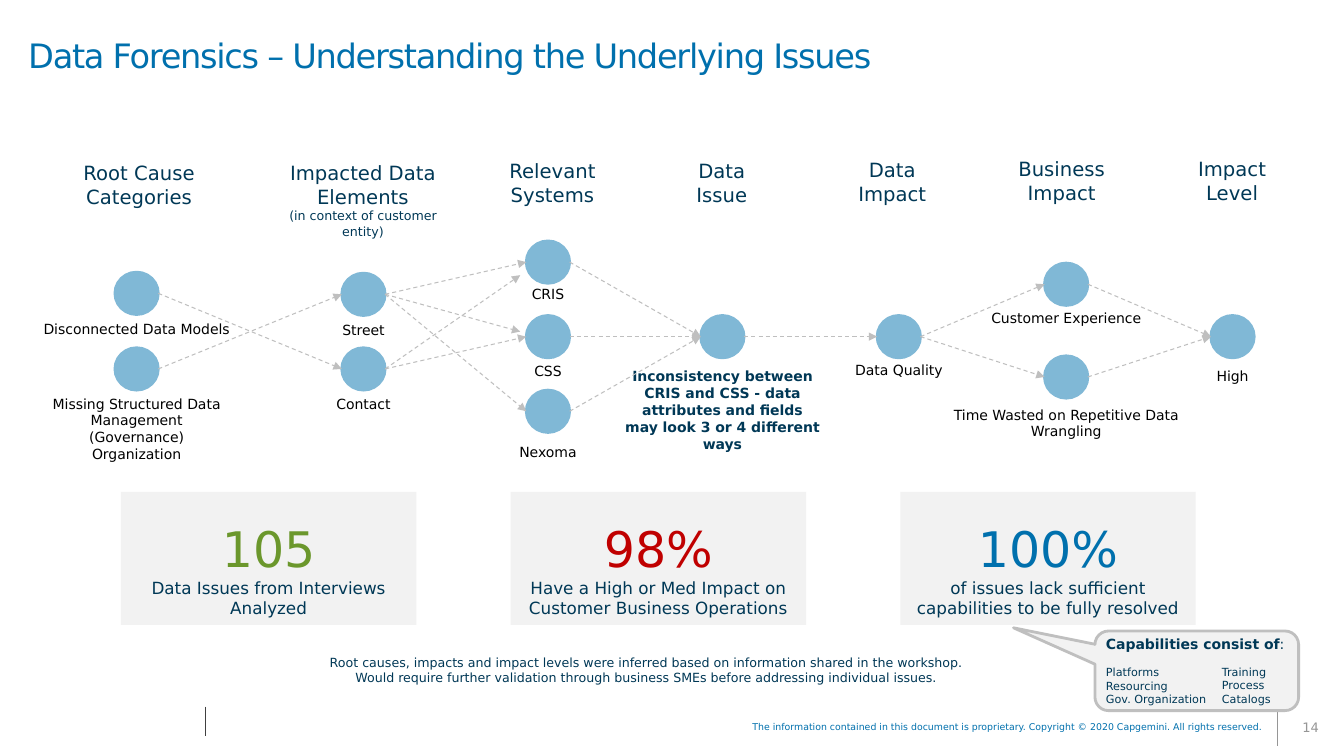
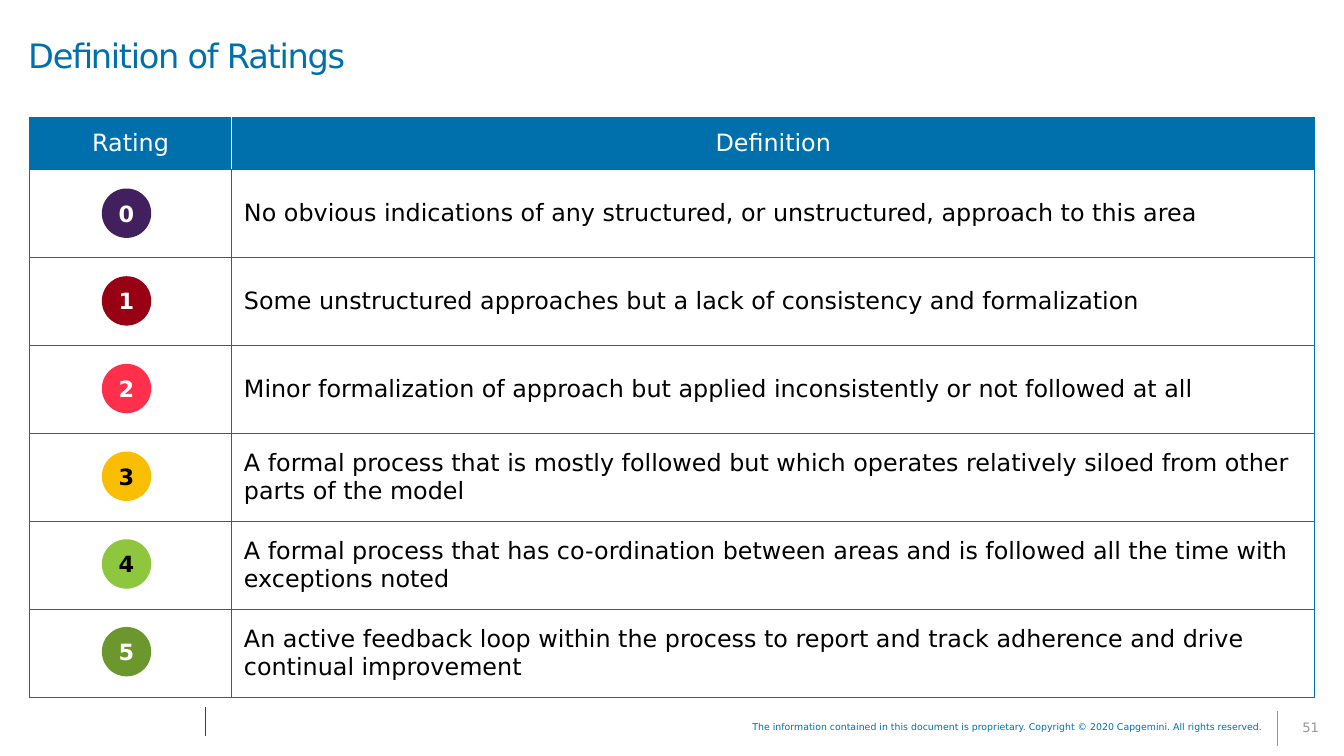
from lxml import etree
from pptx import Presentation
from pptx.dml.color import RGBColor
from pptx.enum.dml import MSO_LINE
from pptx.enum.shapes import MSO_CONNECTOR, MSO_SHAPE
from pptx.enum.text import MSO_ANCHOR, PP_ALIGN
from pptx.oxml.ns import qn
from pptx.util import Pt

PX = 9144  # 100 px to the inch
WIDE, HIGH = 1333, 750
FONT = "DejaVu Sans"
LEFT, MID, RIGHT = PP_ALIGN.LEFT, PP_ALIGN.CENTER, PP_ALIGN.RIGHT
TOP, CORE = MSO_ANCHOR.TOP, MSO_ANCHOR.MIDDLE
RECT, OVAL = MSO_SHAPE.RECTANGLE, MSO_SHAPE.OVAL
BUBBLE = MSO_SHAPE.ROUNDED_RECTANGULAR_CALLOUT
DASH, LINE = MSO_LINE.DASH, MSO_CONNECTOR.STRAIGHT

HUES = {
    "blue": "0070AD", "navy": "003856", "sky": "80B8D6", "pale": "F2F2F2",
    "gray": "969696", "silver": "BFBFBF", "dark": "404040", "red": "C00000",
    "green": "6B972C", "lime": "8EC63E", "amber": "F9BE01", "rose": "FF304C",
    "wine": "980014", "plum": "421F5D", "white": "FFFFFF", "black": "000000",
}

LEGAL = ("The information contained in this document is proprietary. "
         "Copyright © 2020 Capgemini. All rights reserved.")

# Column heads: left, top, width, lines
HEADS = [
    (40, 155, 196, ["Root Cause Categories"]),
    (275, 155, 170, ["Impacted Data Elements",
                     [("(in context of customer entity)", {"size": 9})]]),
    (483, 153, 130, ["Relevant Systems"]),
    (651, 153, 130, ["Data", "Issue"]),
    (820, 152, 130, ["Data Impact"]),
    (988, 151, 130, ["Business Impact"]),
    (1157, 151, 130, ["Impact Level"]),
]

# Nodes: left, top, label, label top, label width
NODE_W, NODE_H = 43, 42
NODES = {
    "models": (114, 270, "Disconnected Data Models", 313, 240),
    "org": (114, 345, "Missing Structured Data Management (Governance) Organization",
            387, 196),
    "street": (339, 271, "Street", 314, 109),
    "contact": (339, 345, "Contact", 387, 109),
    "cris": (522, 239, "CRIS", 278, 100),
    "css": (522, 313, "CSS", 355, 100),
    "asset": (522, 387, "Nexoma", 435, 100),
    "issue": (695, 313, "Inconsistency between CRIS and CSS - data attributes "
              "and fields may look 3 or 4 different ways", 360, 215),
    "data": (870, 313, "Data Quality", 354, 285),
    "client": (1036, 261, "Customer Experience", 302, 285),
    "time": (1036, 353, "Time Wasted on Repetitive Data Wrangling", 398, 285),
    "high": (1201, 313, "High", 360, 100),
}
LINKS = [
    ("models", "contact"), ("org", "street"), ("street", "cris"),
    ("street", "css"), ("contact", "cris"), ("street", "asset"),
    ("contact", "css"), ("cris", "issue"), ("css", "issue"),
    ("asset", "issue"), ("issue", "data"), ("data", "client"),
    ("data", "time"), ("client", "high"), ("time", "high"),
]
# Arrow tips that stop short of the node, so crossing lines stay apart
NUDGE = {("street", "css"): (-6, -5), ("contact", "cris"): (-6, 13)}

STATS = [
    ("105", "green", "Data Issues from Interviews Analyzed"),
    ("98%", "red", "Have a High or Med Impact on Customer Business Operations"),
    ("100%", "blue", "of issues lack sufficient capabilities to be fully resolved"),
]
NOTE = [
    "Root causes, impacts and impact levels were inferred based on "
    "information shared in the workshop.",
    "Would require further validation through business SMEs before "
    "addressing individual issues.",
]
SKILLS = ["Platforms", "Resourcing", "Gov. Organization"]
MORE = ["Training", "Process", "Catalogs"]

# Ratings: fill, number colour, definition
RATES = [
    ("plum", "white", "No obvious indications of any structured, or unstructured, "
     "approach to this area"),
    ("wine", "white", "Some unstructured approaches but a lack of consistency "
     "and formalization"),
    ("rose", "white", "Minor formalization of approach but applied inconsistently "
     "or not followed at all"),
    ("amber", "black", "A formal process that is mostly followed but which operates "
     "relatively siloed from other parts of the model"),
    ("lime", "black", "A formal process that has co-ordination between areas and is "
     "followed all the time with exceptions noted"),
    ("green", "white", "An active feedback loop within the process to report and "
     "track adherence and drive continual improvement"),
]


def px(*vals):
    return [round(v * PX) for v in vals]


def rgb(hue):
    return RGBColor.from_string(HUES[hue])


def write(frame, paras, align=LEFT, anchor=TOP, pad=(10, 5, 10, 5),
          space=None, **base):
    """Fill a frame; each paragraph is a string or a list of (text, format)."""
    sides = ("margin_left", "margin_top", "margin_right", "margin_bottom")
    look = dict(zip(sides, px(*pad)), word_wrap=True, vertical_anchor=anchor)
    for key, val in look.items():
        setattr(frame, key, val)
    for i, runs in enumerate(paras):
        para = frame.paragraphs[0] if i == 0 else frame.add_paragraph()
        para.alignment = align
        if space:
            para.line_spacing = space
        for text, extra in [(runs, {})] if isinstance(runs, str) else runs:
            run = para.add_run()
            run.text = text
            fmt = {"name": FONT, "bold": False, **base, **extra}
            run.font.color.rgb = rgb(fmt.pop("hue"))
            fmt["size"] = Pt(fmt["size"])
            for key, val in fmt.items():
                setattr(run.font, key, val)


def label(slide, box, paras, **fmt):
    frame = slide.shapes.add_textbox(*px(*box)).text_frame
    write(frame, paras, **fmt)
    return frame


def shape(slide, kind, box, fill, edge=None):
    item = slide.shapes.add_shape(kind, *px(*box))
    item.shadow.inherit = False
    item.fill.solid()
    item.fill.fore_color.rgb = rgb(fill)
    if edge:
        item.line.color.rgb = rgb(edge)
        item.line.width = Pt(2)
    else:
        item.line.fill.background()
    return item


def rule(slide, ends, hue, arrow=False):
    line = slide.shapes.add_connector(LINE, *px(*ends))
    line.line.color.rgb = rgb(hue)
    line.line.width = Pt(0.75)
    if arrow:
        line.line.dash_style = DASH
        etree.SubElement(line.line._ln, qn("a:tailEnd"), type="triangle")
    etree.SubElement(line._element.spPr, qn("a:effectLst"))


def border(cell, hues):
    props = cell._tc.get_or_add_tcPr()
    for i, (side, hue) in enumerate(zip(("lnL", "lnR", "lnT", "lnB"), hues)):
        edge = etree.Element(qn("a:" + side), w=str(Pt(1)))
        fill = etree.SubElement(edge, qn("a:solidFill"))
        etree.SubElement(fill, qn("a:srgbClr"), val=HUES[hue])
        props.insert(i, edge)


def page(deck, title, number):
    """Blank slide with the shared title and footer."""
    slide = deck.slides.add_slide(deck.slide_layouts[6])
    rule(slide, (1267, 705, 1267, 740), "gray")
    rule(slide, (204, 701, 204, 730), "dark")
    label(slide, (1267, 705, 66, 35), [number], align=MID, anchor=CORE,
          space=0.85, size=9.3, hue="gray")
    label(slide, (599, 712, 664, 20), [LEGAL], align=RIGHT, space=0.85,
          size=6.7, hue="blue")
    head = label(slide, (0, 0, WIDE, 116), [title], anchor=CORE,
                 pad=(28, 3, 15, 3), space=0.85, size=24, hue="blue")
    head.paragraphs[0].runs[0].font._element.set("spc", "-90")
    return slide


def forensics(deck):
    slide = page(deck, "Data Forensics – Understanding the Underlying Issues", "14")
    # Key figures
    for i, (figure, hue, text) in enumerate(STATS):
        card = shape(slide, RECT, (120 + 386.5 * i, 488, 293, 132), "pale")
        write(card.text_frame, [[(figure, {"size": 35, "hue": hue})], text],
              align=MID, anchor=CORE, pad=(10, 24, 10, 5), size=12, hue="navy")
    # Column heads
    for left, top, width, lines in HEADS:
        label(slide, (left, top, width, 57), lines, align=MID, size=14, hue="navy")
    # Nodes with centred labels
    for key, (left, top, text, low, width) in NODES.items():
        shape(slide, OVAL, (left, top, NODE_W, NODE_H), "sky", "sky")
        main = key == "issue"
        label(slide, (left + (NODE_W - width) / 2, low, width, 27), [text],
              align=MID, size=10, bold=main, hue="navy" if main else "black")
    # Arrows from right edge to left edge
    for link in LINKS:
        (x1, y1), (x2, y2) = (NODES[key][:2] for key in link)
        dx, dy = NUDGE.get(link, (0, 0))
        rule(slide, (x1 + NODE_W, y1 + NODE_H / 2,
                     x2 + dx, y2 + NODE_H / 2 + dy), "silver", arrow=True)
    label(slide, (309, 645, 663, 40), NOTE, align=MID, size=9, hue="navy")
    # Callout
    bubble = shape(slide, BUBBLE, (1086, 626, 202, 79), "pale", "silver")
    for i, val in enumerate((-0.9, -0.54, 0.17)):
        bubble.adjustments[i] = val
    lead = [("Capabilities consist of", {"size": 10, "bold": True}),
            (":", {"size": 10})]
    frame = label(slide, (1087, 626, 202, 81), [lead, *SKILLS], size=8, hue="navy")
    frame.paragraphs[1].space_before = Pt(9)
    label(slide, (1202, 655, 85, 50), MORE, size=8, hue="navy")


def ratings(deck):
    slide = page(deck, "Definition of Ratings", "51")
    cols, head, tall = (201, 1074), 51, 575
    step = (tall - head) / len(RATES)
    table = slide.shapes.add_table(len(RATES) + 1, 2,
                                   *px(29, 117, sum(cols), tall)).table
    table.first_row = table.horz_banding = False
    for col, width in zip(table.columns, px(*cols)):
        col.width = width
    for i, row in enumerate(table.rows):
        row.height = px(step if i else head)[0]
    # Cells
    rows = [("Rating", "Definition")] + [("", rate[2]) for rate in RATES]
    for i, texts in enumerate(rows):
        for j, text in enumerate(texts):
            cell = table.cell(i, j)
            cell.fill.solid()
            cell.fill.fore_color.rgb = rgb("white" if i else "blue")
            hues = ["blue"] * 4
            if i == 0:
                hues[1 - j] = "white"
            border(cell, hues)
            cell.vertical_anchor = CORE
            cell.margin_left = cell.margin_right = px(12)[0]
            if text:
                write(cell.text_frame, [text], align=LEFT if i else MID,
                      anchor=None, pad=(0, 0, 0, 0), size=17,
                      hue="black" if i else "white")
    # Rating discs
    for i, (fill, hue, _) in enumerate(RATES):
        disc = shape(slide, OVAL, (101, 187 + 87 * i, 49, 49), fill)
        write(disc.text_frame, [str(i)], align=MID, anchor=CORE,
              pad=(2, 6, 2, 6), size=16, bold=True, hue=hue)


def main():
    deck = Presentation()
    deck.slide_width, deck.slide_height = px(WIDE, HIGH)
    forensics(deck)
    ratings(deck)
    deck.save("out.pptx")


if __name__ == "__main__":
    main()
